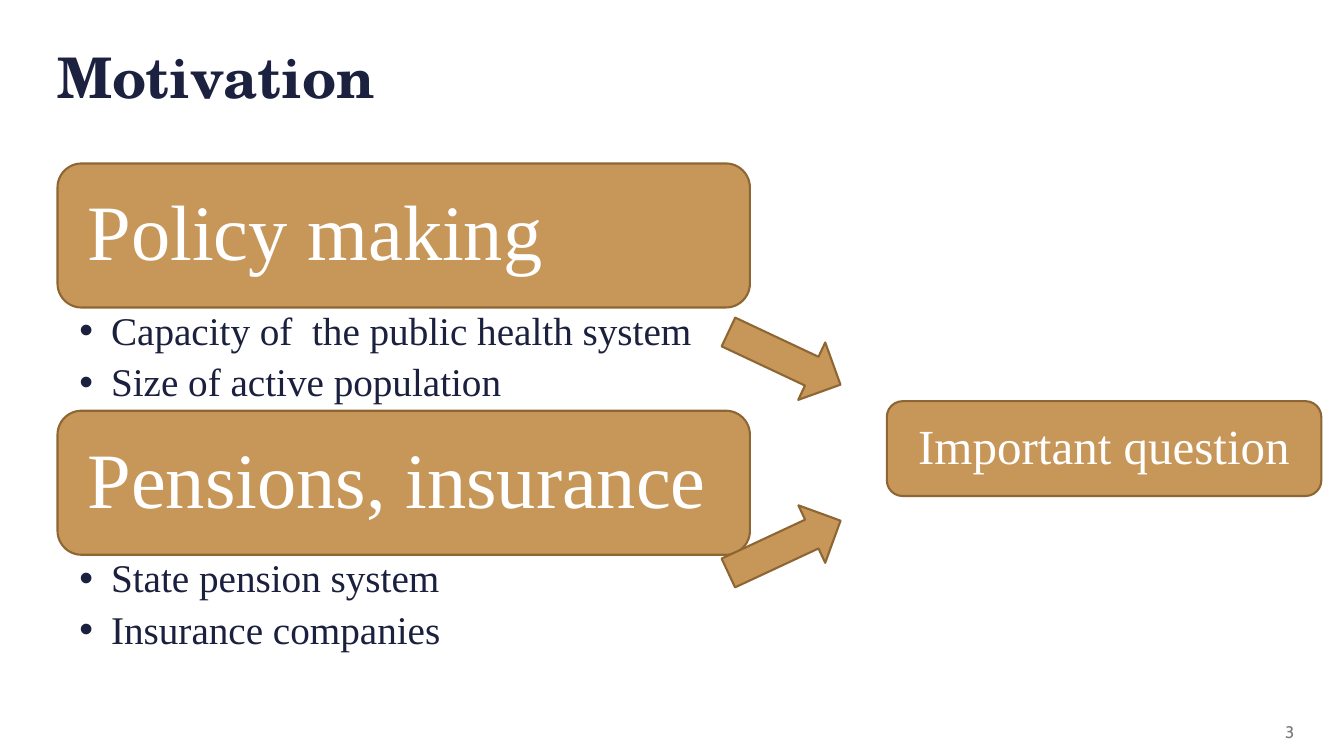
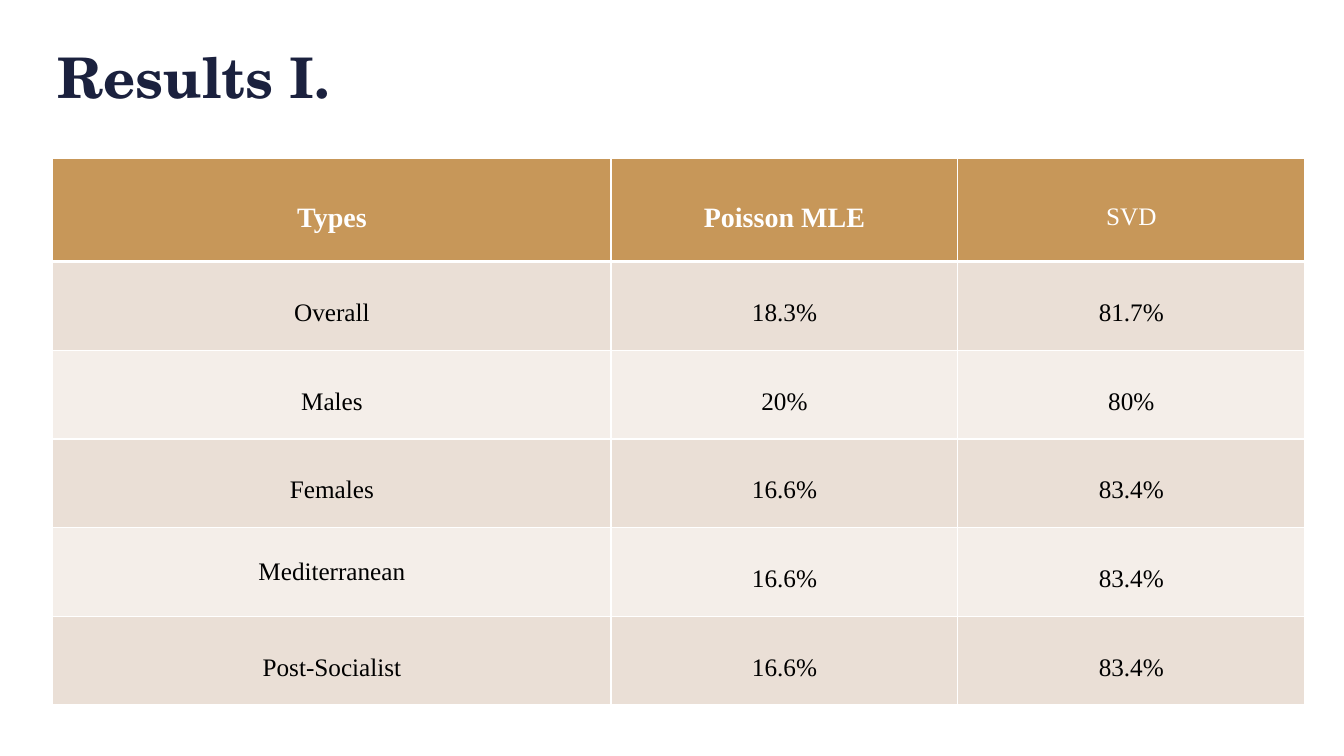
import pptx
import pptx.dml.color
import pptx.enum.shapes
import pptx.enum.text
import pptx.oxml
import pptx.oxml.ns
import pptx.util
from lxml import etree

Cm = pptx.util.Cm
Pt = pptx.util.Pt
RGBColor = pptx.dml.color.RGBColor
Shape = pptx.enum.shapes.MSO_SHAPE
Align = pptx.enum.text.PP_ALIGN
Anchor = pptx.enum.text.MSO_ANCHOR
qn = pptx.oxml.ns.qn

WHITE = RGBColor(0xFF, 0xFF, 0xFF)
BLACK = RGBColor(0, 0, 0)
TITLE_NAVY = RGBColor(0x1B, 0x21, 0x3E)
TEXT_NAVY = RGBColor(0x1A, 0x20, 0x3D)
GOLD = RGBColor(0xC7, 0x97, 0x59)
BROWN = RGBColor(0x8E, 0x66, 0x34)
GREY = RGBColor(0x79, 0x79, 0x79)
SAND = RGBColor(0xEA, 0xDF, 0xD6)
CREAM = RGBColor(0xF4, 0xEE, 0xE9)

SERIF = "Times New Roman"
TITLE_FONT = "TeX Gyre Schola"
NUMBER_FONT = "Cabin"

TITLE_ONLY, TWO_CONTENT = 5, 3
LEFT = 1.45
CARD_WIDTH, CARD_HEIGHT = 17.45, 3.63
LIST_HEIGHT = 2.6

TOPICS = [
    ("Policy making", ["Capacity of  the public health system", "Size of active population"]),
    ("Pensions, insurance", ["State pension system", "Insurance companies"]),
]
RESULTS = [
    ("Types", "Poisson MLE", "SVD"),
    ("Overall", "18.3%", "81.7%"),
    ("Males", "20%", "80%"),
    ("Females", "16.6%", "83.4%"),
    ("Mediterranean", "16.6%", "83.4%"),
    ("Post-Socialist", "16.6%", "83.4%"),
]


def write_text(frame, text, size=18, color=BLACK, font=SERIF, bold=False,
               align=Align.LEFT, spacing=1.0, after=0, bullet=False):
    """Add one formatted paragraph to a text frame."""
    para = frame.add_paragraph() if frame.text else frame.paragraphs[0]
    para.alignment = align
    para.line_spacing = spacing
    para.space_before = Pt(0)
    para.space_after = Pt(after)
    if bullet:
        properties = para._p.get_or_add_pPr()
        properties.set("marL", str(Cm(0.8)))
        properties.set("indent", str(-Cm(0.8)))
        etree.SubElement(properties, qn("a:buChar")).set("char", "•")
    span = para.add_run()
    span.text = text
    span.font.name = font
    span.font.size = Pt(size)
    span.font.bold = bold
    span.font.color.rgb = color


def set_frame(frame, side=0, end=0, anchor=Anchor.TOP):
    """Set the wrapping, margins and anchor of a text frame."""
    frame.word_wrap = True
    frame.auto_size = pptx.enum.text.MSO_AUTO_SIZE.NONE
    frame.margin_left = frame.margin_right = Cm(side)
    frame.margin_top = frame.margin_bottom = Cm(end)
    frame.vertical_anchor = anchor


def place(shape, left, top, width, height):
    """Move and size a shape, in centimetres."""
    shape.left, shape.top = Cm(left), Cm(top)
    shape.width, shape.height = Cm(width), Cm(height)


def add_titled_slide(deck, layout, title):
    """Add a slide with the shared title style."""
    slide = deck.slides.add_slide(deck.slide_layouts[layout])
    box = slide.shapes.title
    place(box, LEFT, 1.07, 29, 2.8)
    set_frame(box.text_frame)
    write_text(box.text_frame, title, size=40, color=TITLE_NAVY, font=TITLE_FONT, bold=True)
    return slide


def add_gold_shape(slide, kind, left, top, width, height):
    """Add a gold preset shape with a brown outline."""
    shape = slide.shapes.add_shape(kind, Cm(left), Cm(top), Cm(width), Cm(height))
    shape.shadow.inherit = False
    shape.fill.solid()
    shape.fill.fore_color.rgb = GOLD
    shape.line.color.rgb = BROWN
    shape.line.width = Pt(1.5)
    return shape


def add_card(slide, text, left, top, width, height, size, margin, align=Align.LEFT):
    """Add a rounded card holding one line of text."""
    card = add_gold_shape(slide, Shape.ROUNDED_RECTANGLE, left, top, width, height)
    set_frame(card.text_frame, margin, margin, Anchor.MIDDLE)
    write_text(card.text_frame, text, size=size, color=WHITE, align=align, spacing=0.9)


def add_topic(slide, body, heading, items, left, top):
    """Place a heading card with its bullet list below."""
    add_card(slide, heading, left, top, CARD_WIDTH, CARD_HEIGHT, 56, 0.58)
    place(body, left, top + CARD_HEIGHT, CARD_WIDTH, LIST_HEIGHT)
    set_frame(body.text_frame, 0.55, 0.1)
    for item in items:
        write_text(body.text_frame, item, size=28, color=TEXT_NAVY,
                   spacing=0.9, after=6.5, bullet=True)


def add_page_number(slide, number):
    """Write the page number at the lower right."""
    box = slide.shapes.add_textbox(Cm(25.25), Cm(17.93), Cm(7.62), Cm(1.02))
    set_frame(box.text_frame, 0.25, 0.13, Anchor.MIDDLE)
    write_text(box.text_frame, number, size=12, color=GREY, font=NUMBER_FONT, align=Align.RIGHT)


def add_border(cell, side, width):
    """Draw one white border of a table cell."""
    line = etree.SubElement(cell._tc.get_or_add_tcPr(), qn(f"a:{side}"))
    line.set("w", str(Pt(width)))
    fill = etree.SubElement(line, qn("a:solidFill"))
    etree.SubElement(fill, qn("a:srgbClr")).set("val", str(WHITE))


def fill_cell(cell, text, row, column):
    """Format one results cell according to its row and column."""
    header = row == 0
    for side in ("lnL", "lnR", "lnT", "lnB"):
        add_border(cell, side, 3 if header and side == "lnB" else 1)
    cell.fill.solid()
    cell.fill.fore_color.rgb = GOLD if header else (SAND if row % 2 else CREAM)
    cell.vertical_anchor = Anchor.MIDDLE
    cell.margin_left = cell.margin_right = Cm(0.18)
    cell.margin_top = cell.margin_bottom = Cm(0)
    strong = header and column < 2
    compact = text == "Mediterranean"
    write_text(cell.text_frame, text, size=20 if strong else 18, bold=strong,
               color=WHITE if header else BLACK, align=Align.CENTER,
               spacing=1.0 if compact else 1.5, after=0 if compact else 8)


def add_results_table(slide, left, top, width, height):
    """Add the table of results inside the given box."""
    frame = slide.shapes.add_table(len(RESULTS), 3, Cm(left), Cm(top), Cm(width), Cm(height))
    table = frame.table
    table.first_row = table.horz_banding = False
    first_width, header_height = 14.07, 2.59
    for index, column in enumerate(table.columns):
        column.width = Cm((width - first_width) / 2 if index else first_width)
    for index, row in enumerate(table.rows):
        row.height = Cm((height - header_height) / (len(RESULTS) - 1) if index else header_height)
    for row, values in enumerate(RESULTS):
        for column, text in enumerate(values):
            fill_cell(table.cell(row, column), text, row, column)


def build_motivation(deck):
    """Build the slide leading two topics to one question."""
    slide = add_titled_slide(deck, TWO_CONTENT, "Motivation")
    bodies = list(slide.placeholders)[1:3]
    for index, (heading, items) in enumerate(TOPICS):
        top = 4.12 + index * (CARD_HEIGHT + LIST_HEIGHT)
        add_topic(slide, bodies[index], heading, items, LEFT, top)
    for top, angle in ((8.23, 25.2), (12.98, 335)):
        arrow = add_gold_shape(slide, Shape.RIGHT_ARROW, 18.21, top, 3.12, 1.6)
        arrow.rotation = angle
    add_card(slide, "Important question", 22.35, 10.11, 10.95, 2.39, 35, 0.38, Align.CENTER)
    add_page_number(slide, "3")


def build_results(deck):
    """Build the slide with the results table."""
    slide = add_titled_slide(deck, TITLE_ONLY, "Results I.")
    add_results_table(slide, 1.33, 4, 31.55, 13.77)


def main():
    """Build and save the deck."""
    deck = pptx.Presentation()
    deck.slide_width, deck.slide_height = Cm(33.87), Cm(19.05)
    build_motivation(deck)
    build_results(deck)
    deck.save("out.pptx")


if __name__ == "__main__":
    main()
